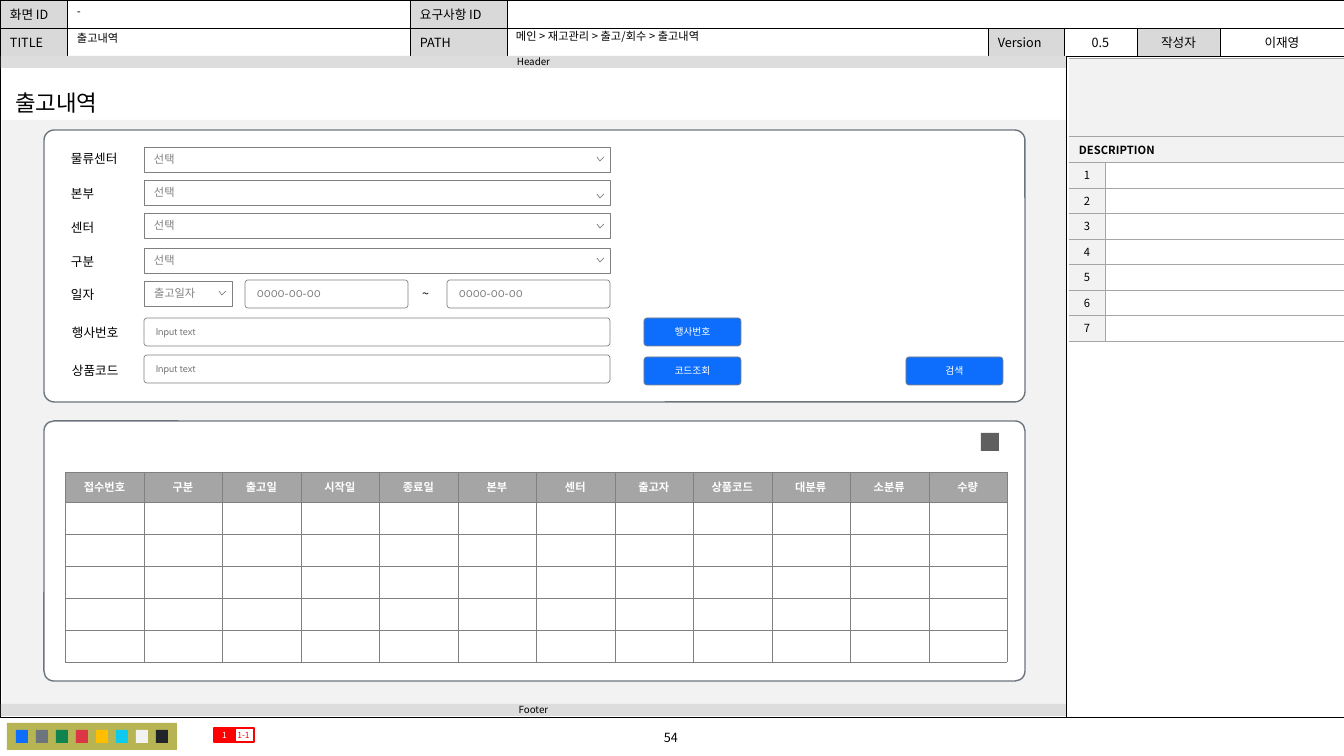
from dataclasses import dataclass
from typing import Any

import lxml.etree
import pptx
import pptx.dml.color
import pptx.enum.shapes
import pptx.enum.text
import pptx.oxml.ns
import pptx.util

WIDTH, HEIGHT = 1344, 756
SCALE = 12192000 / WIDTH
KOREAN, LATIN = "Noto Sans CJK KR", "Cabin"
BLACK, WHITE, GRAY, BLUE, RED = "000000", "FFFFFF", "808080", "0D6EFD", "FF0000"
PALE, SLATE, RULE = "F2F2F2", "6C757D", "A6A6A6"
NO_STYLE = "{2D5ABB26-0587-4C30-8999-92F81FD0307C}"
RECT = pptx.enum.shapes.MSO_SHAPE.RECTANGLE
ROUND = pptx.enum.shapes.MSO_SHAPE.ROUNDED_RECTANGLE
ALIGN = pptx.enum.text.PP_ALIGN
ANCHOR = pptx.enum.text.MSO_ANCHOR


@dataclass(frozen=True)
class Style:
    size: int
    color: str = BLACK
    face: str = KOREAN
    bold: bool = False
    align: Any = ALIGN.LEFT
    anchor: Any = ANCHOR.MIDDLE
    insets: tuple[int, int, int, int] = (10, 5, 10, 5)


@dataclass(frozen=True)
class Box:
    left: int
    top: int
    width: int
    height: int
    text: str = ""
    style: Style | None = None
    fill: str | None = None
    line: str | None = None
    weight: float = 0.5
    radius: float = 0


@dataclass(frozen=True)
class Select:
    top: int
    width: int = 466
    text: str = "선택"
    chevron_drop: int = 10


LABEL = Style(9, anchor=ANCHOR.TOP)
HEADING = Style(8, anchor=ANCHOR.TOP)
HEADER_LEFT, HEADER_CENTER = Style(9), Style(9, align=ALIGN.CENTER)
BAND = Style(7, align=ALIGN.CENTER, insets=(0, 0, 0, 0))
SELECT = Style(8, GRAY, LATIN, insets=(10, 6, 28, 6))
INPUT = Style(7, GRAY, LATIN, insets=(11, 7, 11, 7))
BUTTON = Style(7, WHITE, LATIN, align=ALIGN.CENTER, insets=(11, 7, 11, 7))
TAG_FILLED = Style(6, WHITE, align=ALIGN.CENTER, insets=(0, 0, 0, 0))
TAG_OPEN = Style(6, RED, align=ALIGN.CENTER, insets=(0, 0, 0, 0))
COLUMN_HEAD = Style(8, WHITE, bold=True, align=ALIGN.CENTER, insets=(6, 4, 6, 4))
NUMBER = Style(8, align=ALIGN.CENTER, insets=(0, 0, 0, 0))


def px(value: int) -> int:
    return round(value * SCALE)


def rgb(value: str) -> pptx.dml.color.RGBColor:
    return pptx.dml.color.RGBColor.from_string(value)


def write_text(holder: Any, frame: Any, text: str, style: Style) -> None:
    """Holder is the cell or text frame that carries insets and anchor."""
    (holder.margin_left, holder.margin_top,
     holder.margin_right, holder.margin_bottom) = map(px, style.insets)
    holder.vertical_anchor = style.anchor
    frame.text = text
    paragraph = frame.paragraphs[0]
    paragraph.alignment = style.align
    for run in paragraph.runs:
        run.font.size = pptx.util.Pt(style.size)
        run.font.name = style.face
        run.font.bold = style.bold
        run.font.color.rgb = rgb(style.color)
        east_asian = lxml.etree.SubElement(run.font._element, pptx.oxml.ns.qn("a:ea"))
        east_asian.set("typeface", KOREAN)
    if not text:
        paragraph._p.get_or_add_endParaRPr().set("sz", str(style.size * 100))


def paint(shape: Any, fill: str | None, line: str | None, weight: float) -> None:
    shape.shadow.inherit = False
    if fill:
        shape.fill.solid()
        shape.fill.fore_color.rgb = rgb(fill)
    else:
        shape.fill.background()
    if line:
        shape.line.color.rgb = rgb(line)
        shape.line.width = pptx.util.Pt(weight)
    else:
        shape.line.fill.background()


def draw_box(slide: Any, box: Box) -> None:
    shape = slide.shapes.add_shape(ROUND if box.radius else RECT,
                                   *map(px, (box.left, box.top, box.width, box.height)))
    if box.radius:
        shape.adjustments[0] = box.radius
    paint(shape, box.fill, box.line, box.weight)
    if box.style:
        write_text(shape.text_frame, shape.text_frame, box.text, box.style)


def draw_text(slide: Any, box: Box, wrap: bool = True) -> Any:
    shape = slide.shapes.add_textbox(*map(px, (box.left, box.top, box.width, box.height)))
    write_text(shape.text_frame, shape.text_frame, box.text, box.style)
    shape.text_frame.word_wrap = wrap
    return shape.text_frame.paragraphs[0]


def draw_select(slide: Any, select: Select) -> None:
    draw_box(slide, Box(144, select.top, select.width, 25, select.text, SELECT, WHITE, GRAY))
    right, top = 144 + select.width - 6, select.top + select.chevron_drop
    builder = slide.shapes.build_freeform(px(right), px(top), scale=1.0)
    builder.add_line_segments([(px(right - 4), px(top + 4)), (px(right - 7), px(top))], close=False)
    paint(builder.convert_to_shape(), WHITE, GRAY, 0.5)


def draw_table(slide: Any, left: int, top: int, columns: list[int], rows: list[int]) -> Any:
    table = slide.shapes.add_table(len(rows), len(columns), px(left), px(top),
                                   px(sum(columns)), px(sum(rows))).table
    table.first_row = table.horz_banding = False
    table._tbl.tblPr.find(pptx.oxml.ns.qn("a:tableStyleId")).text = NO_STYLE
    for column, width in zip(table.columns, columns):
        column.width = px(width)
    for row, height in zip(table.rows, rows):
        row.height = px(height)
    return table


def fill_cell(cell: Any, text: str, style: Style, fill: str, line: str,
              weight: float, sides: str = "LRTB") -> None:
    write_text(cell, cell.text_frame, text, style)
    cell.fill.solid()
    cell.fill.fore_color.rgb = rgb(fill)
    for index, side in enumerate(sides):
        border = lxml.etree.Element(pptx.oxml.ns.qn(f"a:ln{side}"), w=str(round(weight * 12700)))
        solid = lxml.etree.SubElement(border, pptx.oxml.ns.qn("a:solidFill"))
        lxml.etree.SubElement(solid, pptx.oxml.ns.qn("a:srgbClr"), val=line)
        cell._tc.tcPr.insert(index, border)


def draw_frame(slide: Any) -> None:
    # Document header
    table = draw_table(slide, 0, 0, [67, 343, 97, 481, 76, 73, 83, 124], [28, 28])
    table.cell(0, 3).merge(table.cell(0, 7))
    header = [["화면 ID", "", "요구사항 ID", "", "", "", "", ""],
              ["TITLE", "", "PATH", "", "Version", "0.5", "작성자", "이재영"]]
    for row, texts in enumerate(header):
        for column, text in enumerate(texts):
            fill_cell(table.cell(row, column), text, HEADER_CENTER if column > 4 else HEADER_LEFT,
                      WHITE if column % 2 else "D9D9D9", BLACK, 0.5)
    for box in (Box(506, 26, 478, 23, "메인 > 재고관리 > 출고/회수 > 출고내역", HEADING),
                Box(67, 1, 343, 23, "-", HEADING), Box(67, 28, 341, 20, "출고내역", HEADING)):
        paragraph = draw_text(slide, box)
        paragraph.line_spacing = 0.9
        paragraph.space_before = pptx.util.Pt(10)

    # Screen area
    draw_box(slide, Box(0, 56, WIDTH, 661, line=BLACK, weight=0.25))
    divider = slide.shapes.add_connector(pptx.enum.shapes.MSO_CONNECTOR.STRAIGHT,
                                         px(1066), px(56), px(1066), px(717))
    divider.line.color.rgb = rgb(BLACK)
    divider.line.width = pptx.util.Pt(0.5)
    lxml.etree.SubElement(divider._element.spPr, pptx.oxml.ns.qn("a:effectLst"))
    draw_box(slide, Box(2, 120, 1064, 596, fill=PALE))
    for top, text in ((704, "Footer"), (56, "Header")):
        draw_box(slide, Box(1, top, 1065, 12, text, BAND, "DDDDDD"))

    # Palette, tags and page number
    draw_box(slide, Box(7, 723, 170, 27, fill="B7B553"))
    palette = [BLUE, SLATE, "10834E", "DC3545", "FFBE00", "0DCAF0", PALE, "212529"]
    for index, color in enumerate(palette):
        draw_box(slide, Box(16 + 20 * index, 730, 12, 13, fill=color))
    draw_box(slide, Box(233, 728, 21, 14, "1-1", TAG_OPEN, None, RED, 1))
    draw_box(slide, Box(214, 728, 21, 14, "1", TAG_FILLED, RED, RED, 1))
    draw_text(slide, Box(541, 725, 260, 25, "54", HEADER_CENTER))


def draw_description(slide: Any) -> None:
    table = draw_table(slide, 1069, 58, [36, 239], [78, 26] + [26 - i % 2 for i in range(7)])
    for row, text in enumerate(("", "DESCRIPTION")):
        table.cell(row, 0).merge(table.cell(row, 1))
        fill_cell(table.cell(row, 0), text, Style(8, bold=True), PALE, RULE, 0.5, "TB")
    for number in range(1, 8):
        fill_cell(table.cell(number + 1, 0), str(number), NUMBER, PALE, RULE, 0.5, "RTB")
        fill_cell(table.cell(number + 1, 1), "", NUMBER, WHITE, RULE, 0.5, "LTB")


def draw_search(slide: Any) -> None:
    draw_text(slide, Box(5, 84, 111, 37, "출고내역", Style(16, anchor=ANCHOR.TOP)), wrap=False)
    draw_box(slide, Box(44, 130, 981, 272, fill=WHITE, line=SLATE, weight=1, radius=0.038))
    labels = [(61, 146, "물류센터"), (61, 181, "본부"), (61, 215, "센터"), (61, 249, "구분"),
              (61, 282, "일자"), (62, 320, "행사번호"), (62, 358, "상품코드"), (412, 281, "~")]
    for left, top, text in labels:
        draw_text(slide, Box(left, top, 76, 25, text, LABEL))
    for select in (Select(147), Select(180, chevron_drop=14), Select(213, chevron_drop=11),
                   Select(248), Select(281, 88, "출고일자")):
        draw_select(slide, select)
    for left, top, width, text in ((245, 280, 163, "0000-00-00"), (447, 280, 163, "0000-00-00"),
                                   (144, 318, 466, "Input text"), (144, 355, 466, "Input text")):
        draw_box(slide, Box(left, top, width, 28, text, INPUT, WHITE, GRAY, radius=0.108))
    for left, top, text in ((644, 318, "행사번호"), (644, 357, "코드조회"), (906, 357, "검색")):
        draw_box(slide, Box(left, top, 97, 28, text, BUTTON, BLUE, GRAY, radius=0.108))


def draw_results(slide: Any) -> None:
    draw_box(slide, Box(44, 421, 981, 260, fill=WHITE, line=SLATE, weight=1, radius=0.038))
    draw_box(slide, Box(981, 433, 18, 18, fill="5F5F5F"))
    heads = ["접수번호", "구분", "출고일", "시작일", "종료일", "본부",
             "센터", "출고자", "상품코드", "대분류", "소분류", "수량"]
    table = draw_table(slide, 65, 472, [79 - i % 2 for i in range(12)], [30] + [32] * 5)
    for row in range(6):
        for column, head in enumerate(heads):
            fill_cell(table.cell(row, column), "" if row else head, COLUMN_HEAD,
                      WHITE if row else "A5A5A5", GRAY, 0.25)


def main() -> None:
    presentation = pptx.Presentation()
    presentation.slide_width, presentation.slide_height = px(WIDTH), px(HEIGHT)
    slide = presentation.slides.add_slide(presentation.slide_layouts[6])
    draw_frame(slide)
    draw_description(slide)
    draw_search(slide)
    draw_results(slide)
    presentation.save("out.pptx")


if __name__ == "__main__":
    main()
